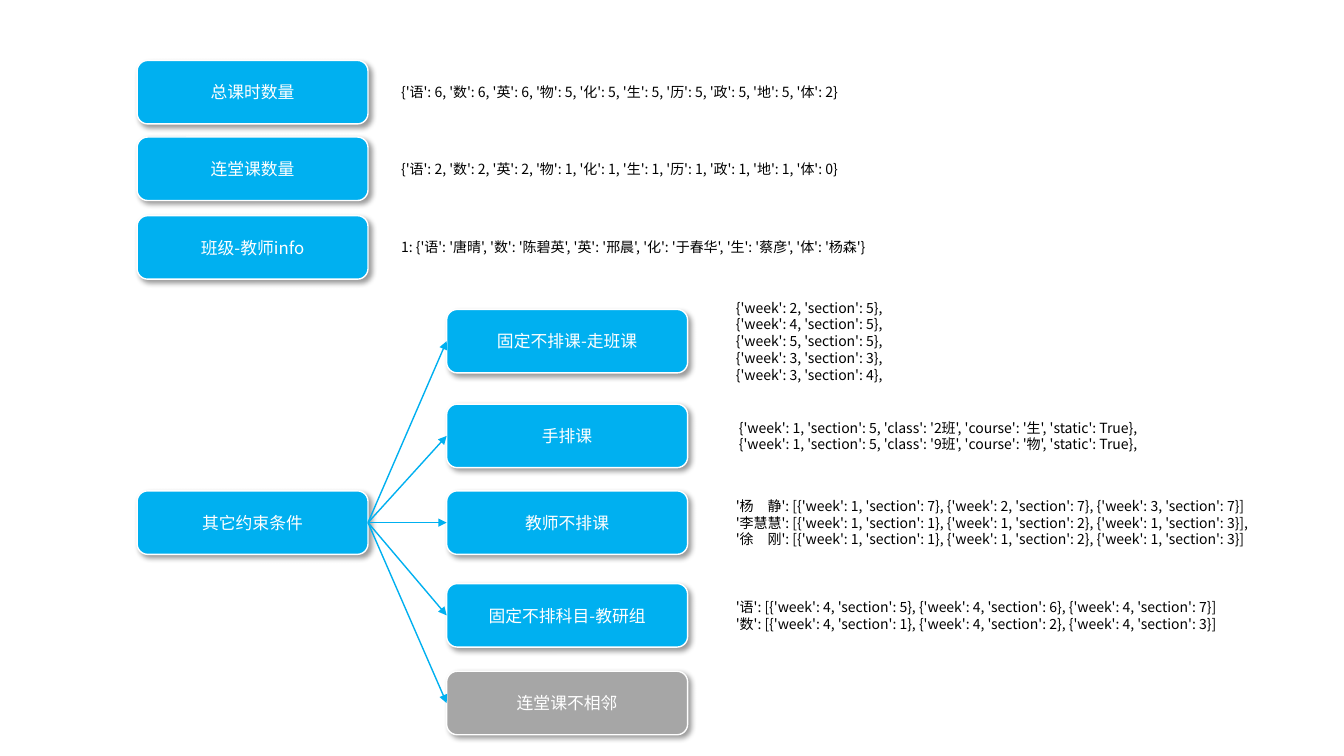
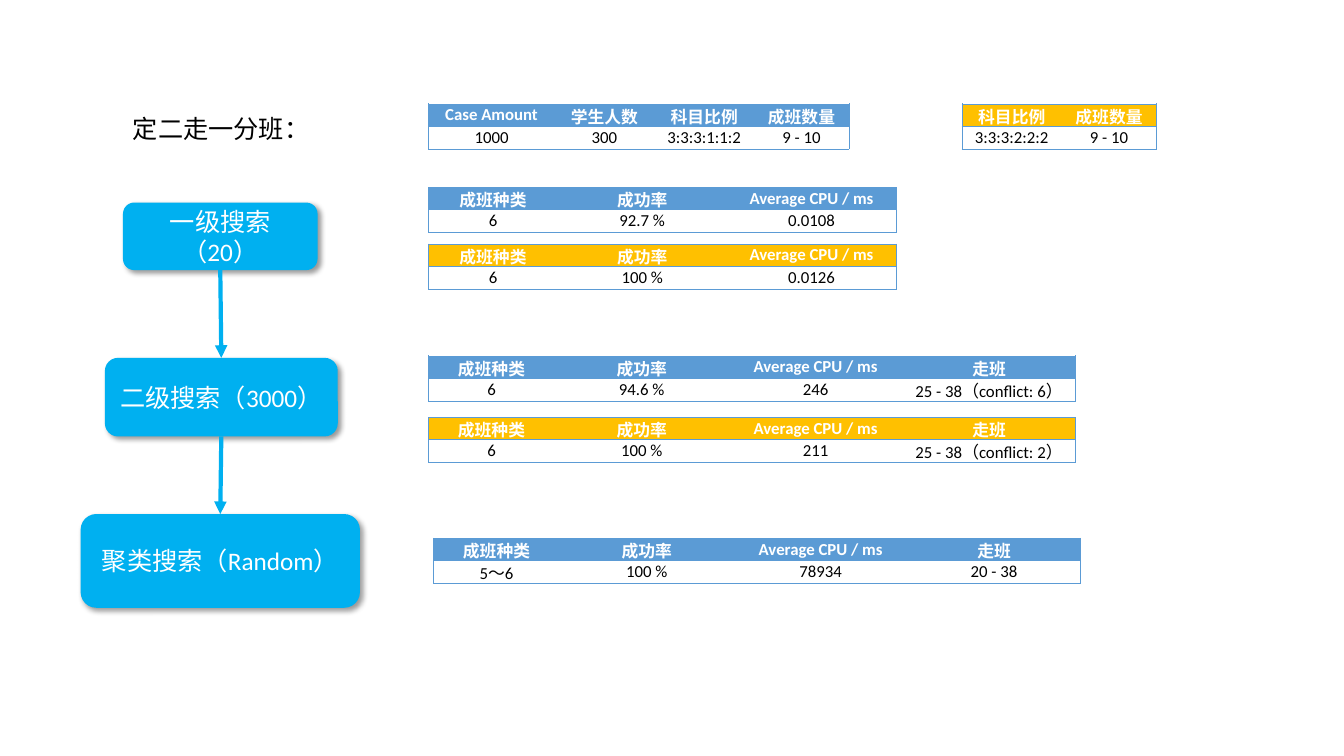
from dataclasses import dataclass

from lxml import etree
from pptx import Presentation
from pptx.dml.color import RGBColor
from pptx.enum.shapes import MSO_CONNECTOR, MSO_SHAPE
from pptx.enum.text import MSO_ANCHOR, PP_ALIGN
from pptx.oxml.ns import qn
from pptx.util import Inches, Pt

BLUE = RGBColor(0x00, 0xB0, 0xF0)
GRAY = RGBColor(0xA6, 0xA6, 0xA6)
STEEL = RGBColor(0x5B, 0x9B, 0xD5)
GOLD = RGBColor(0xFF, 0xC0, 0x00)
WHITE = RGBColor(0xFF, 0xFF, 0xFF)
BLACK = RGBColor(0x00, 0x00, 0x00)

SANS = "Noto Sans CJK SC"
LATIN = "Calibri"
ROUND = MSO_SHAPE.ROUNDED_RECTANGLE
PROCESS = MSO_SHAPE.FLOWCHART_ALTERNATE_PROCESS
STRAIGHT = MSO_CONNECTOR.STRAIGHT
MIDDLE = MSO_ANCHOR.MIDDLE
LEFT, CENTER = PP_ALIGN.LEFT, PP_ALIGN.CENTER

TOP, WEST, SOUTH, EAST = range(4)  # connection sites of a box
PLAIN_STYLE = "{2D5ABB26-0587-4C30-8999-92F81FD0307C}"
LEADING = 1.2
NODE_HIGH = 0.63
HEAD_HIGH, BODY_HIGH = 0.22, 0.23


@dataclass
class Node:
    """A box, with lines of sample data beside it."""
    text: str
    left: float
    top: float
    width: float
    note: tuple = ()
    note_left: float = 0
    height: float = NODE_HIGH
    fill: RGBColor = BLUE


@dataclass
class Grid:
    left: float
    top: float
    widths: tuple
    head: tuple
    body: tuple
    fill: RGBColor = STEEL


ROOT_LEFT, ROOT_WIDE, ROOT_NOTE = 1.36, 2.29, 3.88
RULE_LEFT, RULE_WIDE, RULE_NOTE = 4.43, 2.39, 7.2

INPUTS = (
    Node("总课时数量", ROOT_LEFT, 0.6, ROOT_WIDE, (
        "{'语': 6, '数': 6, '英': 6, '物': 5, '化': 5, '生': 5, "
        "'历': 5, '政': 5, '地': 5, '体': 2}",), ROOT_NOTE),
    Node("连堂课数量", ROOT_LEFT, 1.36, ROOT_WIDE, (
        "{'语': 2, '数': 2, '英': 2, '物': 1, '化': 1, '生': 1, "
        "'历': 1, '政': 1, '地': 1, '体': 0}",), ROOT_NOTE),
    Node("班级-教师info", ROOT_LEFT, 2.14, ROOT_WIDE, (
        "1: {'语': '唐晴', '数': '陈碧英', '英': '邢晨', "
        "'化': '于春华', '生': '蔡彦', '体': '杨森'}",), ROOT_NOTE),
)
OTHER = Node("其它约束条件", ROOT_LEFT, 4.87, ROOT_WIDE)
RULES = (
    Node("固定不排课-走班课", RULE_LEFT, 3.07, RULE_WIDE, (
        "{'week': 2, 'section': 5},",
        "{'week': 4, 'section': 5},",
        "{'week': 5, 'section': 5},",
        "{'week': 3, 'section': 3},",
        "{'week': 3, 'section': 4},"), RULE_NOTE),
    Node("手排课", RULE_LEFT, 4.01, RULE_WIDE, (
        "{'week': 1, 'section': 5, 'class': '2班', 'course': '生', 'static': True},",
        "{'week': 1, 'section': 5, 'class': '9班', 'course': '物', 'static': True},",
    ), RULE_NOTE + 0.03),
    Node("教师不排课", RULE_LEFT, 4.87, RULE_WIDE, (
        "'杨　静': [{'week': 1, 'section': 7}, {'week': 2, 'section': 7}, {'week': 3, 'section': 7}]",
        "'李慧慧': [{'week': 1, 'section': 1}, {'week': 1, 'section': 2}, {'week': 1, 'section': 3}],",
        "'徐　刚': [{'week': 1, 'section': 1}, {'week': 1, 'section': 2}, {'week': 1, 'section': 3}]",
    ), RULE_NOTE),
    Node("固定不排科目-教研组", RULE_LEFT, 5.79, RULE_WIDE, (
        "'语': [{'week': 4, 'section': 5}, {'week': 4, 'section': 6}, {'week': 4, 'section': 7}]",
        "'数': [{'week': 4, 'section': 1}, {'week': 4, 'section': 2}, {'week': 4, 'section': 3}]",
    ), RULE_NOTE),
    Node("连堂课不相邻", RULE_LEFT, 6.66, RULE_WIDE, fill=GRAY),
)

STAGES = (
    Node("一级搜索（20）", 1.22, 2.01, 1.93, height=0.67),
    Node("二级搜索（3000）", 1.04, 3.55, 2.31, height=0.78),
    Node("聚类搜索（Random）", 0.8, 5.1, 2.77, height=0.93),
)

GRID_LEFT = 4.25
THREE = (1.28, 1.68, 1.68)
FOUR = (1.25, 1.73, 1.72, 1.72)
RATES = ("成班种类", "成功率", "Average CPU / ms")
MOVES = RATES + ("走班",)
RATIO = ("科目比例", "成班数量")
GRIDS = (
    Grid(GRID_LEFT, 1.03, (1.25, 0.99, 0.99, 0.94),
         ("Case Amount", "学生人数") + RATIO,
         ("1000", "300", "3:3:3:1:1:2", "9 - 10")),
    Grid(9.54, 1.03, (0.99, 0.94), RATIO, ("3:3:3:2:2:2", "9 - 10"), GOLD),
    Grid(GRID_LEFT, 1.86, THREE, RATES, ("6", "92.7 %", "0.0108")),
    Grid(GRID_LEFT, 2.42, THREE, RATES, ("6", "100 %", "0.0126"), GOLD),
    Grid(GRID_LEFT, 3.53, FOUR, MOVES,
         ("6", "94.6 %", "246", "25 - 38（conflict: 6）")),
    Grid(GRID_LEFT, 4.14, FOUR, MOVES,
         ("6", "100 %", "211", "25 - 38（conflict: 2）"), GOLD),
    Grid(4.3, 5.34, FOUR, MOVES, ("5～6", "100 %", "78934", "20 - 38")),
)


def add(parent, tag: str, **attrs):
    return etree.SubElement(parent, qn(tag), attrs)


def write(frame, *lines: str, size: int = 12, font: str = SANS,
          color: RGBColor = BLACK, bold: bool = False, align=CENTER,
          fixed: bool = True) -> None:
    """Fill a text frame, one paragraph a line; fixed sets an exact leading."""
    for index, line in enumerate(lines):
        para = frame.add_paragraph() if index else frame.paragraphs[0]
        para.alignment = align
        if fixed:
            para.line_spacing = Pt(size * LEADING)
        run = para.add_run()
        run.text = line
        run.font.size, run.font.bold = Pt(size), bold
        run.font.color.rgb = color
        run.font.name = font
        add(run.font._rPr, "a:ea", typeface=SANS)


def label(slide, left: float, mid: float, width: float, *lines: str,
          size: int = 10, wrap: bool = True) -> None:
    """Place plain text centred on the height mid."""
    height = 0.1 + len(lines) * size * LEADING / 72
    box = slide.shapes.add_textbox(Inches(left), Inches(mid - height / 2),
                                   Inches(width), Inches(height))
    box.text_frame.word_wrap = wrap
    write(box.text_frame, *lines, size=size, align=LEFT)


def draw_node(slide, node: Node, kind=ROUND, size: int = 12,
              font: str = SANS, edge: bool = True):
    shape = slide.shapes.add_shape(kind, Inches(node.left), Inches(node.top),
                                   Inches(node.width), Inches(node.height))
    shape.fill.solid()
    shape.fill.fore_color.rgb = node.fill
    if edge:
        shape.line.color.rgb, shape.line.width = WHITE, Pt(1)
    else:
        shape.line.fill.background()
    shape.shadow.inherit = False
    effects = shape._element.spPr.find(qn("a:effectLst"))
    shade = add(effects, "a:outerShdw", blurRad=str(Pt(4)), dist=str(Pt(3)),
                dir=str(45 * 60000), algn="tl", rotWithShape="0")
    add(add(shade, "a:srgbClr", val=str(BLACK)), "a:alpha", val="40000")
    shape.text_frame.word_wrap = True
    shape.text_frame.vertical_anchor = MIDDLE
    write(shape.text_frame, node.text, size=size, font=font, color=WHITE)
    if node.note:
        label(slide, node.note_left, node.top + node.height / 2,
              13.3 - node.note_left, *node.note)
    return shape


def arrow(slide, start, out: int, end, into: int, width: float) -> None:
    """Join two boxes at the given connection sites."""
    link = slide.shapes.add_connector(STRAIGHT, 0, 0, 0, 0)
    link.begin_connect(start, out)
    link.end_connect(end, into)
    link.line.color.rgb, link.line.width = BLUE, Pt(width)
    add(link.line._get_or_add_ln(), "a:tailEnd", type="triangle")
    add(link._element.spPr, "a:effectLst")


def border(cell, *sides: str) -> None:
    for side in sides:
        line = add(cell._tc.get_or_add_tcPr(), f"a:ln{side}", w=str(Pt(0.5)))
        add(add(line, "a:solidFill"), "a:srgbClr", val=str(STEEL))


def draw_grid(slide, grid: Grid) -> None:
    frame = slide.shapes.add_table(
        2, len(grid.widths), Inches(grid.left), Inches(grid.top),
        Inches(sum(grid.widths)), Inches(HEAD_HIGH + BODY_HIGH))
    table = frame.table
    table.horz_banding = table.first_row = False
    next(frame._element.iter(qn("a:tableStyleId"))).text = PLAIN_STYLE
    for column, width in zip(table.columns, grid.widths):
        column.width = Inches(width)
    for row, high in zip(table.rows, (HEAD_HIGH, BODY_HIGH)):
        row.height = Inches(high)
    last = len(grid.widths) - 1
    for r, texts in enumerate((grid.head, grid.body)):
        for c, text in enumerate(texts):
            cell = table.cell(r, c)
            cell.margin_left = cell.margin_right = 0
            cell.margin_top = cell.margin_bottom = 0
            cell.vertical_anchor = MIDDLE
            border(cell, *["L"] * (c == 0), *["R"] * (c == last), "T", "B")
            if r:
                cell.fill.background()
            else:
                cell.fill.solid()
                cell.fill.fore_color.rgb = grid.fill
            write(cell.text_frame, text, font=LATIN, bold=r == 0,
                  color=BLACK if r else WHITE, fixed=False)


def draw_limits(slide) -> None:
    for node in INPUTS:
        draw_node(slide, node)
    root = draw_node(slide, OTHER)
    for node in RULES:
        arrow(slide, root, EAST, draw_node(slide, node), WEST, 1)


def draw_search(slide) -> None:
    label(slide, 1.22, 1.28, 1.95, "定二走一分班：", size=18, wrap=False)
    boxes = [draw_node(slide, stage, PROCESS, 18, LATIN, edge=False)
             for stage in STAGES]
    for start, end in zip(boxes, boxes[1:]):
        arrow(slide, start, SOUTH, end, TOP, 3)
    for grid in GRIDS:
        draw_grid(slide, grid)


def main() -> None:
    deck = Presentation()
    deck.slide_width, deck.slide_height = Inches(13.33), Inches(7.5)
    blank = deck.slide_layouts[6]
    for draw in (draw_limits, draw_search):
        draw(deck.slides.add_slide(blank))
    deck.save("out.pptx")


if __name__ == "__main__":
    main()
